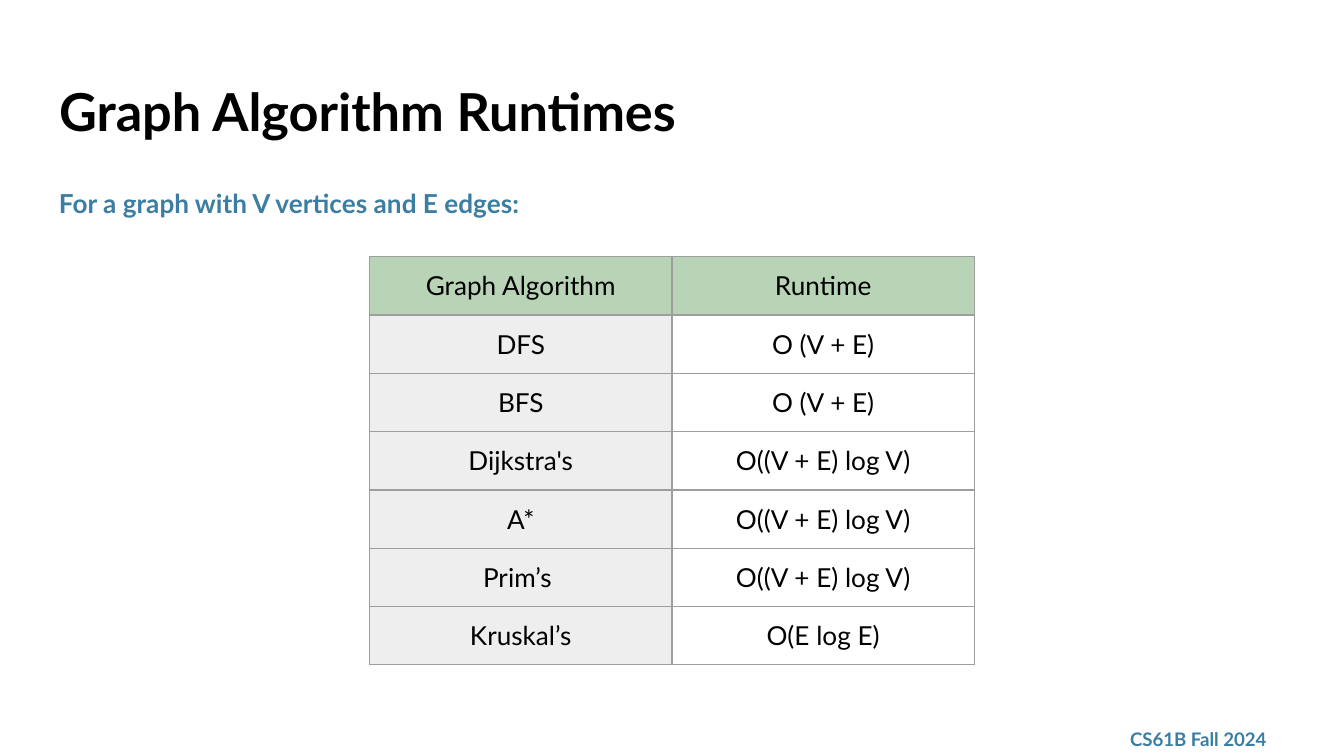
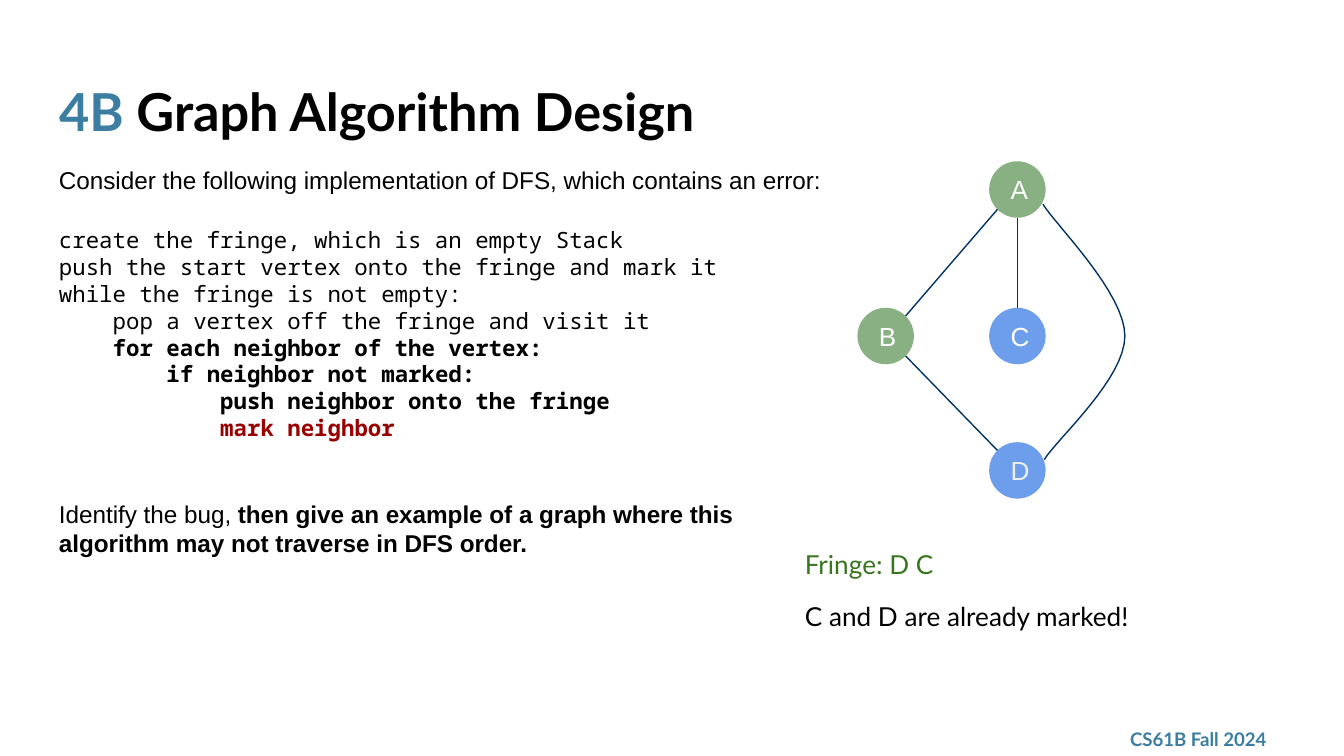
from dataclasses import dataclass
from math import cos, pi

from lxml import etree
from pptx import Presentation
from pptx.dml.color import RGBColor
from pptx.enum.shapes import MSO_CONNECTOR, MSO_SHAPE
from pptx.enum.text import MSO_ANCHOR, MSO_AUTO_SIZE, PP_ALIGN
from pptx.oxml.ns import qn
from pptx.util import Inches, Pt

# Shared look
LINE = MSO_CONNECTOR.STRAIGHT
OVAL = MSO_SHAPE.OVAL
TOP, MIDDLE = MSO_ANCHOR.TOP, MSO_ANCHOR.MIDDLE
FIXED, GROW = MSO_AUTO_SIZE.NONE, MSO_AUTO_SIZE.SHAPE_TO_FIT_TEXT
LEFT, CENTER = PP_ALIGN.LEFT, PP_ALIGN.CENTER

BLACK = RGBColor(0x00, 0x00, 0x00)
WHITE = RGBColor(0xFF, 0xFF, 0xFF)
TEAL = RGBColor(0x3B, 0x7E, 0xA1)
NAVY = RGBColor(0x00, 0x32, 0x62)
RED = RGBColor(0x99, 0x00, 0x00)
GREEN = RGBColor(0x38, 0x76, 0x1D)
SAGE = RGBColor(0x88, 0xB0, 0x83)
BLUE = RGBColor(0x6D, 0x9E, 0xEB)
MINT = RGBColor(0xB9, 0xD3, 0xB6)
PALE = RGBColor(0xEE, 0xEE, 0xEE)
GRAY = RGBColor(0x9E, 0x9E, 0x9E)

LATO, ARIAL, MONO = "Lato", "Arial", "Noto Sans Mono"
WIDE = 10
HIGH = WIDE * 9 / 16
PAD = Inches(0.1)
TAB = Inches(0.4)  # one step of code indent
EDGE = 0.34
RADIUS = 0.21


@dataclass
class Run:
    text: str
    size: float = 14
    name: str = LATO
    color: RGBColor = BLACK
    bold: bool = False


@dataclass
class Para:
    runs: list[Run]
    before: float = 0
    level: int = 0
    align: PP_ALIGN = LEFT
    pitch: float = 1.0


@dataclass
class Node:
    label: str
    x: float
    y: float
    fill: RGBColor
    ink: RGBColor = WHITE


def apply(item, values: dict) -> None:
    for key, value in values.items():
        setattr(item, key, value)


def pad(item, **values) -> None:
    """Set equal margins, and any further format values."""
    sides = ("left", "right", "top", "bottom")
    apply(item, {f"margin_{side}": PAD for side in sides} | values)


def fill_text(frame, paras: list[Para]) -> None:
    for i, para in enumerate(paras):
        line = frame.paragraphs[0] if i == 0 else frame.add_paragraph()
        apply(line, {"alignment": para.align, "line_spacing": para.pitch,
                     "space_before": Pt(para.before), "space_after": Pt(0)})
        if para.level:
            line._p.get_or_add_pPr().set("marL", str(para.level * TAB))
        for run in para.runs:
            part = line.add_run()
            part.text = run.text
            apply(part.font, {"size": Pt(run.size), "name": run.name, "bold": run.bold})
            part.font.color.rgb = run.color


def write(frame, paras: list[Para], anchor=TOP, fit=FIXED) -> None:
    pad(frame, word_wrap=True, auto_size=fit, vertical_anchor=anchor)
    fill_text(frame, paras)


def add_text(slide, box: tuple, paras: list[Para], anchor=TOP, fit=FIXED) -> None:
    shape = slide.shapes.add_textbox(*map(Inches, box))
    write(shape.text_frame, paras, anchor, fit)


def add_slide(deck, title: list[Run]):
    """Add a slide with the shared title and footer."""
    slide = deck.slides.add_slide(deck.slide_layouts[5])
    head = slide.shapes.title
    apply(head, {"left": Inches(EDGE), "top": Inches(0.49),
                 "width": Inches(9.32), "height": Inches(0.63)})
    write(head.text_frame, [Para(title)])
    add_text(slide, (8.31, 5.37, 1.35, 0.26),
             [Para([Run("CS61B Fall 2024", 10, color=TEAL, bold=True)])], MIDDLE)
    return slide


def head_run(text: str, color: RGBColor = BLACK) -> Run:
    return Run(text, 28, color=color, bold=True)


# Table
def add_border(cell) -> None:
    props = cell._tc.get_or_add_tcPr()
    for side in ("lnL", "lnR", "lnT", "lnB"):
        edge = etree.SubElement(props, qn(f"a:{side}"), w=str(Pt(0.75)))
        fill = etree.SubElement(edge, qn("a:solidFill"))
        etree.SubElement(fill, qn("a:srgbClr"), val=str(GRAY))


def add_grid(slide, rows: list[tuple]) -> None:
    wide, high = 2.25, 0.43
    table = slide.shapes.add_table(
        len(rows), 2, Inches(2.75), Inches(1.91),
        Inches(2 * wide), Inches(high * len(rows))).table
    apply(table, {"first_row": False, "horz_banding": False})
    for col in table.columns:
        col.width = Inches(wide)
    for r, row in enumerate(rows):
        table.rows[r].height = Inches(high)
        for c, text in enumerate(row):
            cell = table.cell(r, c)
            pad(cell)
            add_border(cell)
            if r and c:
                cell.fill.background()
            else:
                cell.fill.solid()
                cell.fill.fore_color.rgb = PALE if r else MINT
            fill_text(cell.text_frame, [Para([Run(text)], align=CENTER)])


# Graph
def add_node(slide, node: Node) -> None:
    shape = slide.shapes.add_shape(
        OVAL, Inches(node.x - RADIUS), Inches(node.y - RADIUS),
        Inches(2 * RADIUS), Inches(2 * RADIUS))
    shape.shadow.inherit = False
    shape.fill.solid()
    shape.fill.fore_color.rgb = node.fill
    shape.line.fill.background()
    write(shape.text_frame, [Para([Run(node.label, name=ARIAL, color=node.ink)])], MIDDLE)


def style_line(shape) -> None:
    shape.line.color.rgb = NAVY
    shape.line.width = Pt(0.75)


def add_edge(slide, start: Node, end: Node) -> None:
    """Join two nodes at the nearest diagonal or upright rim points."""
    dx = (end.x > start.x) - (end.x < start.x)
    dy = (end.y > start.y) - (end.y < start.y)
    step = RADIUS * (cos(pi / 4) if dx and dy else 1)
    line = slide.shapes.add_connector(
        LINE, Inches(start.x + dx * step), Inches(start.y + dy * step),
        Inches(end.x - dx * step), Inches(end.y - dy * step))
    style_line(line)
    etree.SubElement(line._element.spPr, qn("a:effectLst"))


def bezier(ends: tuple, t: float) -> tuple:
    weights = ((1 - t) ** 3, 3 * t * (1 - t) ** 2, 3 * t * t * (1 - t), t ** 3)
    return tuple(Inches(sum(w * p[i] for w, p in zip(weights, ends))) for i in (0, 1))


def add_curve(slide, curves: list[tuple], steps: int = 16) -> None:
    points = [bezier(curve, i / steps) for curve in curves for i in range(1, steps + 1)]
    pen = slide.shapes.build_freeform(*bezier(curves[0], 0))
    pen.add_line_segments(points, close=False)
    shape = pen.convert_to_shape()
    shape.shadow.inherit = False
    shape.fill.background()
    style_line(shape)


# Slides
def build_times(deck) -> None:
    slide = add_slide(deck, [head_run("Graph Algorithm Runtimes")])
    lead = Run("For a graph with V vertices and E edges:", color=TEAL, bold=True)
    add_text(slide, (EDGE, 1.26, 9.32, 1.13), [Para([lead], pitch=1.15)])
    add_grid(slide, [
        ("Graph Algorithm", "Runtime"),
        ("DFS", "O (V + E)"),
        ("BFS", "O (V + E)"),
        ("Dijkstra's", "O((V + E) log V)"),
        ("A*", "O((V + E) log V)"),
        ("Prim’s ", "O((V + E) log V)"),
        ("Kruskal’s", "O(E log E)"),
    ])


def build_design(deck) -> None:
    slide = add_slide(deck, [head_run("4B", TEAL), head_run(" Graph Algorithm Design")])

    # Task and code: indent level, text, bold, colour
    code = [
        (0, "create the fringe, which is an empty Stack", False, BLACK),
        (0, "push the start vertex onto the fringe and mark it", False, BLACK),
        (0, "while the fringe is not empty:", False, BLACK),
        (1, "pop a vertex off the fringe and visit it", False, BLACK),
        (1, "for each neighbor of the vertex:", True, BLACK),
        (2, "if neighbor not marked:", True, BLACK),
        (3, "push neighbor onto the fringe", True, BLACK),
        (3, "mark neighbor", True, RED),
    ]
    lines = [Para([Run(text, 12, MONO, color, bold)], level=level)
             for level, text, bold, color in code]
    lines[0].before = 17
    intro = "Consider the following implementation of DFS, which contains an error:"
    add_text(slide, (EDGE, 1.13, 9.21, 3.38), [
        Para([Run(intro, 13, ARIAL)]),
        *lines,
        Para([Run("Identify the bug,", 13, ARIAL),
              Run(" then give an example of a graph where this", 13, ARIAL, bold=True)],
             before=31),
        Para([Run("algorithm may not traverse in DFS order.", 13, ARIAL, bold=True)]),
    ], fit=GROW)

    # Graph
    a = Node("A", 7.57, 1.41, SAGE)
    b = Node("B", 6.59, 2.5, SAGE)
    c = Node("C", 7.57, 2.5, BLUE)
    d = Node("D", 7.57, 3.5, BLUE, PALE)
    for node in (a, c, b, d):
        add_node(slide, node)
    for start, end in ((b, a), (a, c), (b, d)):
        add_edge(slide, start, end)
    add_curve(slide, [
        ((7.76, 1.52), (7.86, 1.68), (8.37, 2.18), (8.37, 2.5)),
        ((8.37, 2.5), (8.37, 2.82), (7.87, 3.26), (7.77, 3.42)),
    ])

    # State of the search
    for top, wide, text, color in (
            (3.98, 3.87, "Fringe: D C", GREEN),
            (4.37, 3.99, "C and D are already marked!", BLACK)):
        add_text(slide, (5.89, top, wide, 0.44), [Para([Run(text, color=color)])], fit=GROW)


def main() -> None:
    deck = Presentation()
    apply(deck, {"slide_width": Inches(WIDE), "slide_height": Inches(HIGH)})
    build_times(deck)
    build_design(deck)
    deck.save("out.pptx")


if __name__ == "__main__":
    main()
